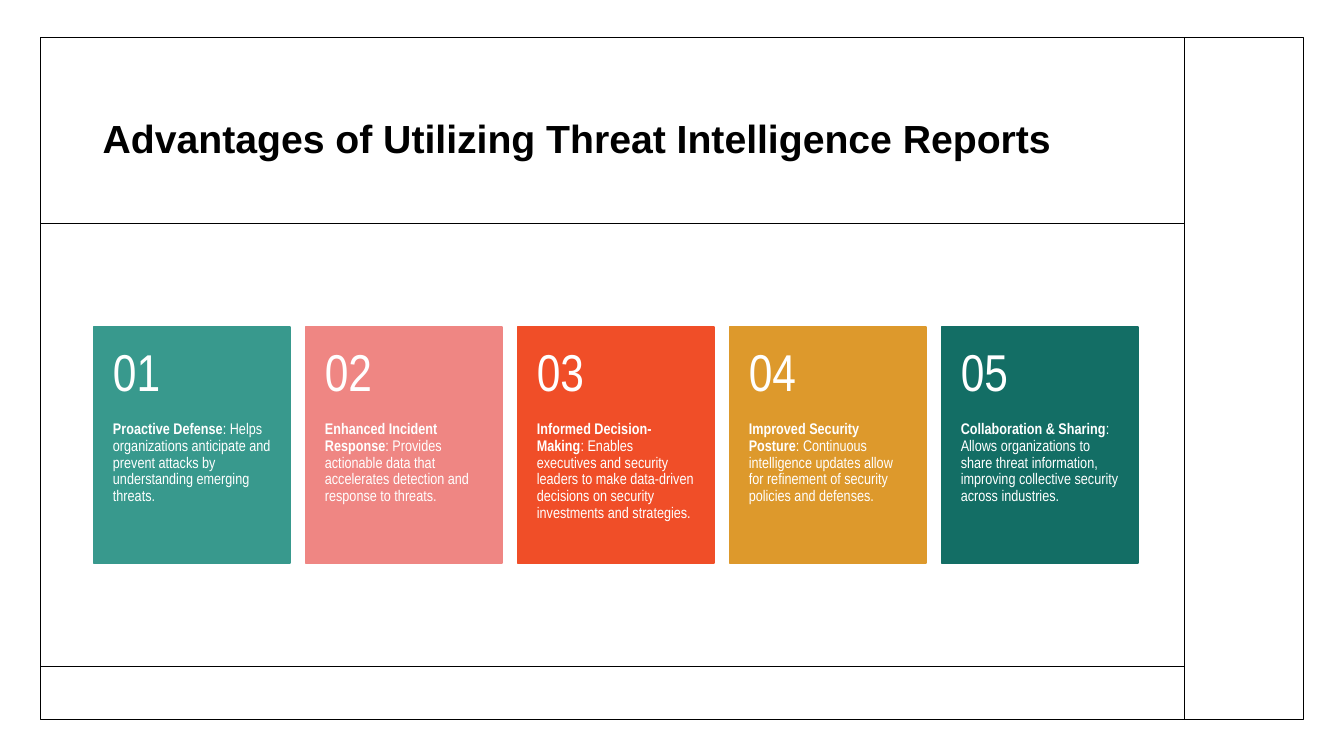
from pptx import Presentation
from pptx.dml.color import RGBColor
from pptx.enum.shapes import MSO_CONNECTOR, MSO_SHAPE
from pptx.enum.text import MSO_ANCHOR, PP_ALIGN
from pptx.util import Pt
from lxml import etree

RECT = MSO_SHAPE.RECTANGLE
LINE = MSO_CONNECTOR.STRAIGHT
TOP, MID = MSO_ANCHOR.TOP, MSO_ANCHOR.MIDDLE
LEFT = PP_ALIGN.LEFT
NS = "http://schemas.openxmlformats.org/drawingml/2006/main"

# Content
TITLE = "Advantages of Utilizing Threat Intelligence Reports"
CARDS = [
    ("38998D", "Proactive Defense",
     "Helps organizations anticipate and prevent attacks by understanding emerging threats."),
    ("EF8683", "Enhanced Incident Response",
     "Provides actionable data that accelerates detection and response to threats."),
    ("F04E28", "Informed Decision-Making",
     "Enables executives and security leaders to make data-driven decisions on security "
     "investments and strategies."),
    ("DD992C", "Improved Security Posture",
     "Continuous intelligence updates allow for refinement of security policies and defenses."),
    ("136E65", "Collaboration & Sharing",
     "Allows organizations to share threat information, improving collective security "
     "across industries."),
]

# Layout and formats, in points
FRAME = (28.8, 26.64, 902.16, 487.2)
SPLIT = 846
RULES = [
    (FRAME[0], 159.84, SPLIT, 159.84),
    (FRAME[0], 475.92, SPLIT, 475.92),
    (SPLIT, FRAME[1], SPLIT, FRAME[1] + FRAME[3]),
]
CARD_X, CARD_Y, CARD_W, CARD_H = 66.78, 233.7, 140.5, 168.5
STEP, HEAD_H = 151.4, 67.4
HEAD = {"name": "Arial", "size": Pt(28), "bold": True}
NUM = {"name": "Arial Narrow", "size": Pt(37), "bold": False}
BODY = {"name": "Arial Narrow", "size": Pt(11), "bold": False}
BOLD = {**BODY, "bold": True}


def tint(fmt, hue):
    fmt.rgb = RGBColor.from_string(hue)


def add_box(box, hue, fill=None):
    shape = slide.shapes.add_shape(RECT, *map(Pt, box))
    shape.shadow.inherit = False
    if fill:
        shape.fill.solid()
        tint(shape.fill.fore_color, fill)
    else:
        shape.fill.background()
    tint(shape.line.color, hue)
    shape.line.width = Pt(1)


def add_rule(ends):
    rule = slide.shapes.add_connector(LINE, *map(Pt, ends))
    tint(rule.line.color, "000000")
    rule.line.width = Pt(1)
    props = rule._element.spPr
    etree.SubElement(props, f"{{{NS}}}effectLst")


def add_text(box, runs, hue, anchor, pads):
    frame = slide.shapes.add_textbox(*map(Pt, box)).text_frame
    frame.word_wrap = True
    frame.vertical_anchor = anchor
    for side, pad in zip(("left", "top", "right", "bottom"), pads):
        setattr(frame, f"margin_{side}", Pt(pad))
    para = frame.paragraphs[0]
    para.alignment = LEFT
    para.line_spacing = 0.9
    for text, style in runs:
        run = para.add_run()
        run.text = text
        for key, value in style.items():
            setattr(run.font, key, value)
        tint(run.font.color, hue)


deck = Presentation()
deck.slide_width, deck.slide_height = Pt(960), Pt(540)
slide = deck.slides.add_slide(deck.slide_layouts[6])

# Frame, title and rules
add_box(FRAME, "000000")
add_text((66.24, 64.08, 747.36, 73.44), [(TITLE, HEAD)], "000000", MID, (7.2, 3.6, 7.2, 3.6))
for ends in RULES:
    add_rule(ends)

# Numbered cards
for i, (hue, name, text) in enumerate(CARDS):
    x = CARD_X + i * STEP
    add_box((x, CARD_Y, CARD_W, CARD_H), hue, hue)
    add_text((x, CARD_Y + HEAD_H, CARD_W, CARD_H - HEAD_H),
             [(name, BOLD), (": " + text, BODY)], "FFFFFF", TOP, (13.9, 0, 13.9, 26))
    add_text((x, CARD_Y, CARD_W, HEAD_H),
             [(f"{i + 1:02}", NUM)], "FFFFFF", MID, (13.9, 13, 13.9, 13))

deck.save("out.pptx")
